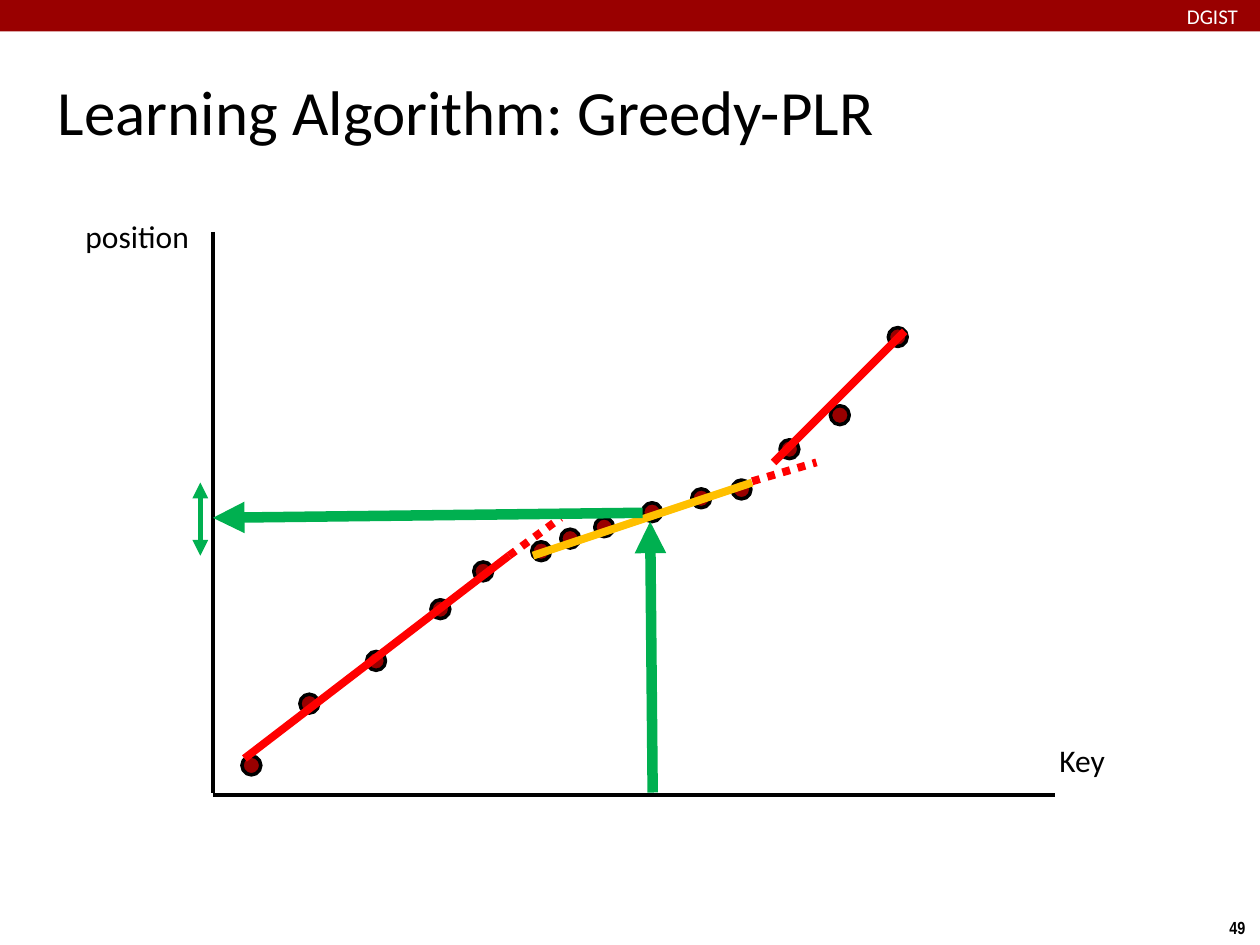
from lxml.etree import SubElement
from pptx import Presentation
from pptx.dml.color import RGBColor
from pptx.enum.dml import MSO_LINE
from pptx.enum.shapes import MSO_CONNECTOR, MSO_SHAPE
from pptx.enum.text import MSO_ANCHOR
from pptx.oxml.ns import qn
from pptx.util import Inches, Pt

COLORS = {
    "maroon": "990000", "black": "000000", "white": "FFFFFF",
    "red": "FF0000", "amber": "FFC000", "green": "00B050",
}


def add_text(text, x, y, w, h, size, color="black", font="Calibri",
             bold=False, inset=(0.1, 0.05), wrap=True, anchor=MSO_ANCHOR.TOP):
    tf = s.shapes.add_textbox(Inches(x), Inches(y), Inches(w), Inches(h)).text_frame
    tf.word_wrap = wrap
    tf.vertical_anchor = anchor
    tf.margin_left = tf.margin_right = Inches(inset[0])
    tf.margin_top = tf.margin_bottom = Inches(inset[1])
    tf.text = text
    r = tf.paragraphs[0].runs[0]
    r.font.name = font
    r.font.size = Pt(size)
    r.font.bold = bold
    r.font.color.rgb = RGBColor.from_string(COLORS[color])


def add_line(x1, y1, x2, y2, color, width, dash=None, arrows=()):
    cxn = s.shapes.add_connector(MSO_CONNECTOR.STRAIGHT, Inches(x1), Inches(y1),
                                 Inches(x2), Inches(y2))
    cxn.line.color.rgb = RGBColor.from_string(COLORS[color])
    cxn.line.width = Pt(width)
    if dash:
        cxn.line.dash_style = dash
    for end in arrows:
        SubElement(cxn.line._get_or_add_ln(), qn(f"a:{end}"), type="triangle")
    SubElement(cxn._element.spPr, qn("a:effectLst"))


prs = Presentation()
prs.slide_width = Inches(10)
prs.slide_height = Inches(7.5)
s = prs.slides.add_slide(prs.slide_layouts[6])

add_text("49", 9.66, 7.23, 0.34, 0.27, 10, font="Arial Narrow", bold=True, wrap=False)

bar = s.shapes.add_shape(MSO_SHAPE.RECTANGLE, 0, 0, Inches(10.01), Inches(0.25))
bar.shadow.inherit = False
bar.fill.solid()
bar.fill.fore_color.rgb = RGBColor.from_string(COLORS["maroon"])
bar.line.fill.background()

add_text("Learning Algorithm: Greedy-PLR", 0.42, 0.28, 9.17, 1.19, 36,
         inset=(0.04, 0.04), anchor=MSO_ANCHOR.MIDDLE)
add_text("DGIST", 9.42, 0.03, 1.44, 0.19, 12, "white", inset=(0, 0))

points = [
    (1.92, 6), (2.38, 5.51), (2.91, 5.17), (3.42, 4.76), (3.76, 4.46),
    (4.22, 4.3), (4.45, 4.2), (4.72, 4.11), (5.1, 3.99), (5.49, 3.88),
    (5.81, 3.81), (6.19, 3.49), (6.59, 3.22), (7.05, 2.6),
]
for x, y in points:
    sp = s.shapes.add_shape(MSO_SHAPE.OVAL, Inches(x), Inches(y), Inches(0.15), Inches(0.15))
    sp.shadow.inherit = False
    sp.fill.solid()
    sp.fill.fore_color.rgb = RGBColor.from_string(COLORS["maroon"])
    sp.line.color.rgb = RGBColor.from_string(COLORS["black"])
    sp.line.width = Pt(2)

add_line(1.69, 1.84, 1.69, 6.29, "black", 2)
add_line(1.69, 6.31, 8.37, 6.31, "black", 2)
add_text("position", 0.58, 1.67, 1.11, 0.4, 18)
add_text("Key", 8.31, 5.83, 1.11, 0.4, 18)

segments = [
    (1.94, 6.02, 4.04, 4.41, "red", None),
    (4.23, 4.41, 5.97, 3.83, "amber", None),
    (4.04, 4.41, 4.45, 4.11, "red", MSO_LINE.ROUND_DOT),
    (5.97, 3.82, 6.48, 3.67, "red", MSO_LINE.ROUND_DOT),
    (6.14, 3.67, 7.18, 2.63, "red", None),
]
for x1, y1, x2, y2, color, dash in segments:
    add_line(x1, y1, x2, y2, color, 4.5, dash)

add_line(5.18, 6.29, 5.16, 4.14, "green", 6, arrows=["tailEnd"])
add_line(5.1, 4.07, 1.69, 4.11, "green", 6, arrows=["tailEnd"])
add_line(1.59, 3.83, 1.59, 4.41, "green", 3, arrows=["headEnd", "tailEnd"])

prs.save("out.pptx")
